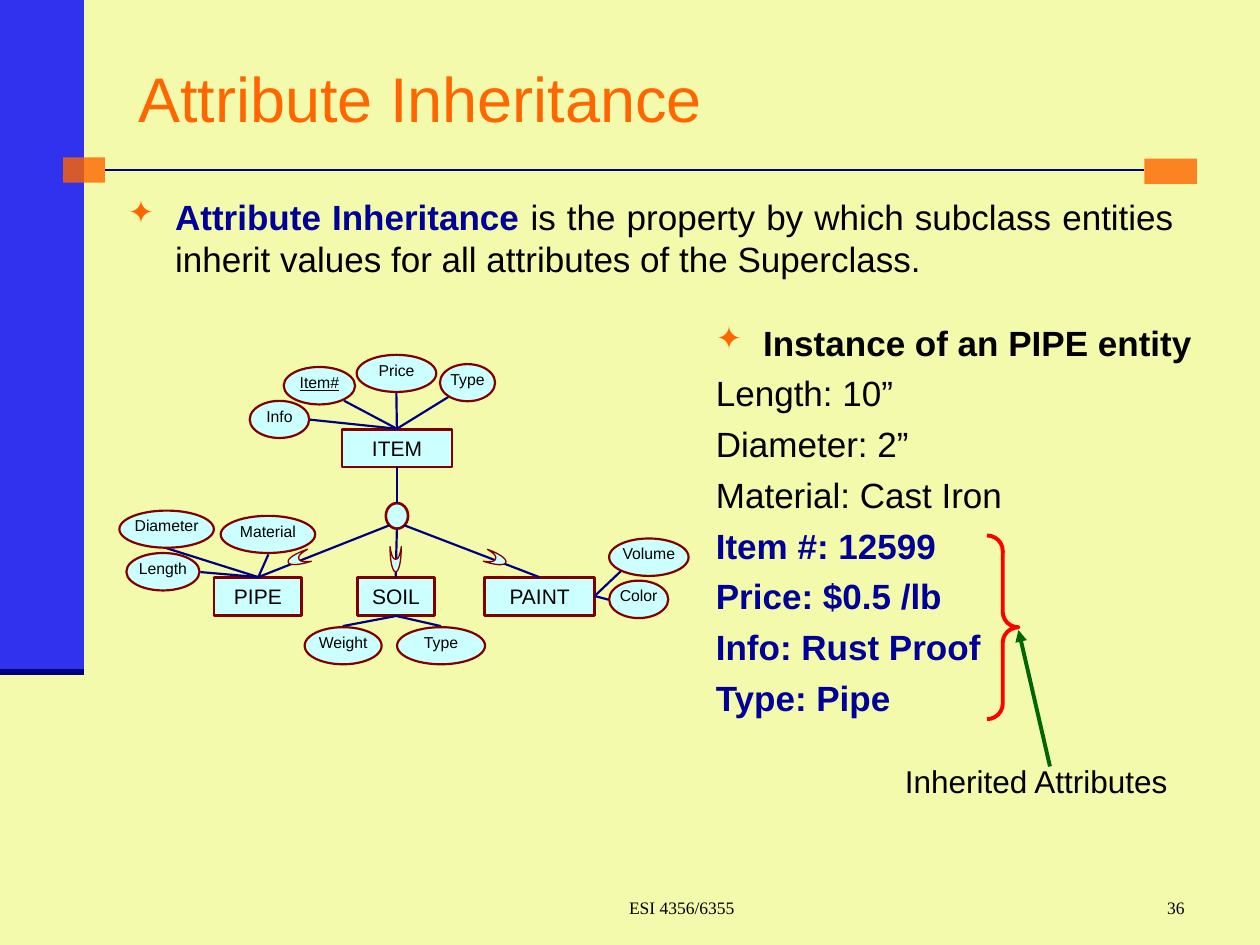
import pptx
import pptx.util
import pptx.dml.color
import pptx.enum.shapes
import pptx.enum.text
import pptx.oxml.ns
import lxml.etree

Pt = pptx.util.Pt
RGBColor = pptx.dml.color.RGBColor
Shape = pptx.enum.shapes.MSO_SHAPE
Align = pptx.enum.text.PP_ALIGN
Anchor = pptx.enum.text.MSO_ANCHOR

CREAM = RGBColor(0xF3, 0xFA, 0xAC)
BLUE = RGBColor(0x00, 0x00, 0xFF)
NAVY = RGBColor(0x00, 0x00, 0x80)
INK_BLUE = RGBColor(0x00, 0x00, 0x99)
ORANGE = RGBColor(0xFF, 0x66, 0x00)
PALE_CYAN = RGBColor(0xCC, 0xFF, 0xFF)
MAROON = RGBColor(0x80, 0x00, 0x00)
RED = RGBColor(0xFF, 0x00, 0x00)
GREEN = RGBColor(0x00, 0x66, 0x00)
BLACK = RGBColor(0x00, 0x00, 0x00)

CRESCENT = [
    [(1, 0), (0.75, 0.1), (0.5, 0.2), (0.5, 0.5)],
    [(0.5, 0.5), (0.5, 0.8), (0.75, 0.9), (1, 1)],
    [(1, 1), (0.45, 1), (0, 0.8), (0, 0.5)],
    [(0, 0.5), (0, 0.2), (0.45, 0), (1, 0)],
]


def add_tag(parent, tag, **attributes):
    return lxml.etree.SubElement(parent, pptx.oxml.ns.qn(tag), attributes)


def curve_point(curve, t):
    weights = ((1 - t) ** 3, 3 * t * (1 - t) ** 2, 3 * t * t * (1 - t), t ** 3)
    return tuple(sum(w * p[axis] for w, p in zip(weights, curve)) for axis in (0, 1))


class SlideWriter:
    font_name = "Arial"

    def __init__(self, page):
        self.page = page
        page.background.fill.solid()
        page.background.fill.fore_color.rgb = CREAM

    def paint(self, shape, fill=None, line=None, weight=1.25, alpha=None):
        shape.shadow.inherit = False
        if fill is None:
            shape.fill.background()
        else:
            shape.fill.solid()
            shape.fill.fore_color.rgb = fill
        if alpha:
            color = shape.fill._xPr.find(".//" + pptx.oxml.ns.qn("a:srgbClr"))
            add_tag(color, "a:alpha", val=str(alpha * 1000))
        if line is None:
            shape.line.fill.background()
        else:
            shape.line.color.rgb = line
            shape.line.width = Pt(weight)

    def shape(self, kind, bounds, **style):
        shape = self.page.shapes.add_shape(kind, *map(Pt, bounds))
        self.paint(shape, **style)
        return shape

    def span(self, span, size, color=BLACK, bold=False, underline=False):
        span.font.name = self.font_name
        span.font.size = Pt(size)
        span.font.color.rgb = color
        span.font.bold = bold
        span.font.underline = underline

    def frame(self, frame, margins, anchor=Anchor.TOP, wrap=True):
        frame.margin_left = frame.margin_right = Pt(margins[0])
        frame.margin_top = frame.margin_bottom = Pt(margins[1])
        frame.vertical_anchor = anchor
        frame.word_wrap = wrap

    def node(self, kind, text, bounds, size, inset, weight, underline=False):
        node = self.shape(kind, bounds, fill=PALE_CYAN, line=MAROON, weight=weight)
        self.frame(node.text_frame, (0, inset), wrap=False)
        node.text_frame.text = text
        para = node.text_frame.paragraphs[0]
        para.alignment = Align.CENTER
        self.span(para.runs[0], size, underline=underline)

    def entity(self, text, *bounds):
        self.node(Shape.RECTANGLE, text, bounds, 12, 3.6, 1.5)

    def attribute(self, text, *bounds, key=False):
        self.node(Shape.OVAL, text, bounds, 9, 0, 1.25, key)

    def line(self, start, end, color=NAVY, weight=1.25, arrow=False):
        line = self.page.shapes.add_connector(
            pptx.enum.shapes.MSO_CONNECTOR.STRAIGHT, *map(Pt, (*start, *end)))
        line.line.color.rgb = color
        line.line.width = Pt(weight)
        if arrow:
            add_tag(line.line._get_or_add_ln(), "a:tailEnd", type="triangle")
        add_tag(line._element.spPr, "a:effectLst")

    def crescent(self, left, top, width, height, angle):
        points = [(left + x * width, top + y * height)
                  for curve in CRESCENT
                  for x, y in (curve_point(curve, step / 8) for step in range(8))]
        builder = self.page.shapes.build_freeform(*map(Pt, points[0]), scale=1.0)
        builder.add_line_segments([(Pt(x), Pt(y)) for x, y in points[1:]], close=True)
        shape = builder.convert_to_shape()
        self.paint(shape, fill=PALE_CYAN, line=MAROON, weight=0.75)
        shape.rotation = angle

    def text(self, bounds, paragraphs, size, align=Align.LEFT, anchor=Anchor.TOP,
             wrap=True, margin=0, indent=0, space=0, bullet=False):
        box = self.page.shapes.add_textbox(*map(Pt, bounds))
        self.frame(box.text_frame, (7.2, 3.6), anchor, wrap)
        for index, spans in enumerate(paragraphs):
            para = box.text_frame.paragraphs[0] if index == 0 else box.text_frame.add_paragraph()
            properties = para._p.get_or_add_pPr()
            properties.set("marL", str(Pt(margin)))
            properties.set("indent", str(Pt(indent)))
            if bullet and index == 0:
                color = add_tag(properties, "a:buClr")
                add_tag(color, "a:srgbClr", val=str(ORANGE))
                add_tag(properties, "a:buSzPct", val="90000")
                add_tag(properties, "a:buChar", char="✦")
            para.alignment = align if index == 0 else Align.LEFT
            if index:
                para.space_before = Pt(space)
            for words, color, bold in spans:
                span = para.add_run()
                span.text = words
                self.span(span, size, color, bold)


def draw_frame(slide):
    slide.shape(Shape.RECTANGLE, (0, 0, 48, 384), fill=BLUE, alpha=80)
    slide.line((0, 384), (48, 384), weight=3.5)
    slide.shape(Shape.RECTANGLE, (654, 90.7, 30, 14.4), fill=ORANGE, alpha=80)
    slide.shape(Shape.RECTANGLE, (36, 90, 24, 14.4), fill=ORANGE, alpha=80)
    slide.line((60, 97.2), (654, 97.2), weight=1.5)


def draw_diagram(slide):
    item, pipe, soil, paint = (226.8, 245), (147.6, 329.8), (226.4, 352), (339.8, 340.6)
    slide.entity("ITEM", 195.5, 245.3, 62.8, 21.6)
    slide.shape(Shape.OVAL, (220.5, 287.5, 12.7, 14.6), fill=PALE_CYAN, line=MAROON, weight=1.5)
    slide.line((226.8, 267), (226.8, 287.3))
    for text, left, width in (("PIPE", 122.3, 50.2), ("SOIL", 204.2, 44.2), ("PAINT", 277, 62.8)):
        slide.entity(text, left, 330, width, 21.6)
    slide.line((222.5, 300.2), pipe)
    slide.line((226.8, 302.4), (226.1, 329.8))
    slide.line((231.1, 300.2), (308.2, 329.8))
    slide.crescent(277, 315.7, 12.4, 7.2, 199.1)
    slide.crescent(164.4, 315.7, 12.8, 7.2, 342)
    slide.crescent(218.9, 316.3, 14.4, 6.5, 270)

    for start, ends in (
        (item, ((226.5, 224.6), (196.6, 229), (177, 239.8), (256.3, 226.8))),
        (pipe, ((153.4, 316.8), (114.5, 326.9), (95, 313.2))),
        (soil, ((195.8, 357.8), (252, 357.8))),
        (paint, ((355, 326.2), (347.8, 342.7))),
    ):
        for end in ends:
            slide.line(start, end)

    slide.attribute("Type", 251.4, 208.1, 31.5, 21.2)
    slide.attribute("Item#", 162.1, 209.7, 40.8, 21.4, key=True)
    slide.attribute("Info", 142.7, 229.1, 34, 21.2)
    slide.attribute("Price", 203.8, 202.8, 45.5, 21.2)
    slide.attribute("Length", 72.2, 316, 41.8, 21.4)
    slide.attribute("Material", 126.1, 294.8, 54, 21.2)
    slide.attribute("Diameter", 68.2, 291.8, 54, 21.2)
    slide.attribute("Weight", 174.1, 358.4, 44, 21.2)
    slide.attribute("Color", 348.1, 331.8, 33.8, 21.4)
    slide.attribute("Type", 226.9, 358.4, 50.3, 21.2)
    slide.attribute("Volume", 348.1, 307.7, 45.4, 21.4)


def draw_text(slide):
    slide.text((72, 21.6, 612, 68.4), [[("Attribute Inheritance", ORANGE, False)]],
               36, anchor=Anchor.MIDDLE)
    bullet_style = dict(align=Align.JUSTIFY, margin=27, indent=-27, space=5, bullet=True)
    definition = [("Attribute Inheritance ", INK_BLUE, True),
                  ("is the property by which subclass entities inherit values for all "
                   "attributes of the Superclass.", BLACK, False)]
    slide.text((66, 108, 612, 60), [definition], 20, **bullet_style)
    own = ("Length: 10”", "Diameter: 2”", "Material: Cast Iron")
    inherited = ("Item #: 12599", "Price: $0.5 /lb", "Info: Rust Proof", "Type: Pipe")
    instance = [[("Instance of an PIPE entity", BLACK, True)]]
    instance += [[(words, BLACK, False)] for words in own]
    instance += [[(words, INK_BLUE, True)] for words in inherited]
    slide.text((402, 180, 294, 244.8), instance, 20, **bullet_style)

    brace = slide.shape(Shape.RIGHT_BRACE, (564, 306, 18, 105), line=RED, weight=2.25)
    brace.adjustments[0] = 0.49
    slide.text((510, 432, 165.6, 28.8), [[("Inherited Attributes", BLACK, False)]], 18, wrap=False)
    slide.line((600, 438), (582, 360), color=GREEN, weight=2.25, arrow=True)

    slide.font_name = "Times New Roman"
    for words, left, width, align in (("ESI 4356/6355", 264, 234, Align.CENTER),
                                      ("36", 534, 150, Align.RIGHT)):
        slide.text((left, 492, width, 36), [[(words, BLACK, False)]], 10,
                   align=align, anchor=Anchor.BOTTOM, margin=17)


def main():
    deck = pptx.Presentation()
    deck.slide_width, deck.slide_height = Pt(720), Pt(540)
    slide = SlideWriter(deck.slides.add_slide(deck.slide_layouts[6]))
    draw_frame(slide)
    draw_diagram(slide)
    draw_text(slide)
    deck.save("out.pptx")


if __name__ == "__main__":
    main()
